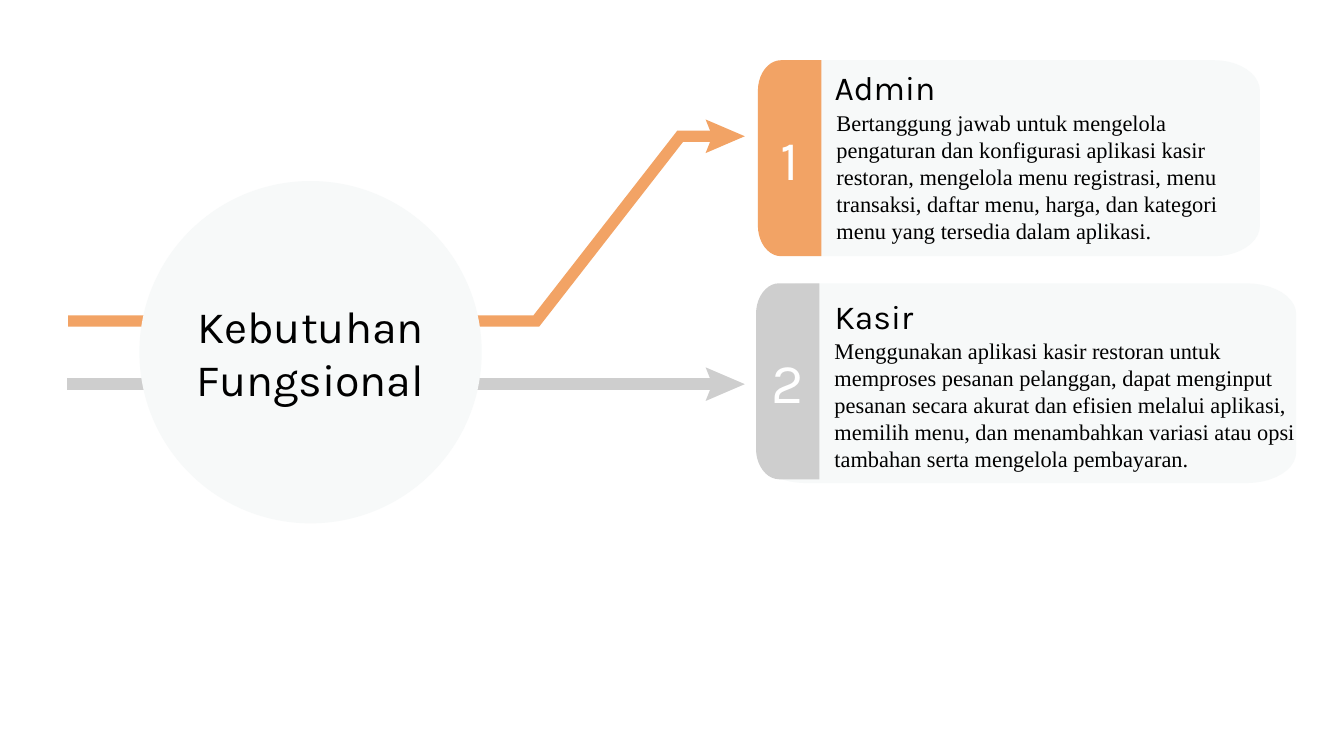
import math

import pptx
import pptx.dml.color
import pptx.enum.shapes
import pptx.enum.text
import pptx.util

Pt = pptx.util.Pt
COLORS = {"orange": "F2A365", "grey": "CECECE", "panel": "F7F9F9",
          "black": "000000", "white": "FFFFFF"}
MIDDLE = pptx.enum.text.MSO_ANCHOR.MIDDLE
CENTER = pptx.enum.text.PP_ALIGN.CENTER
LEFT = pptx.enum.text.PP_ALIGN.LEFT

deck = pptx.Presentation()
deck.slide_width, deck.slide_height = Pt(720), Pt(405)
page = deck.slides.add_slide(deck.slide_layouts[6])


def draw_outline(points, color):
    """Draw a closed, filled shape through points."""
    points = [(Pt(x), Pt(y)) for x, y in points]
    builder = page.shapes.build_freeform(*points[0], scale=1.0)
    builder.add_line_segments(points[1:], close=True)
    shape = builder.convert_to_shape()
    shape.shadow.inherit = False
    shape.fill.solid()
    shape.fill.fore_color.rgb = pptx.dml.color.RGBColor.from_string(COLORS[color])
    shape.line.fill.background()
    return shape


def write_text(shape, text, size, font, color, align, side_margin=7.2):
    """Fill a shape with middle-anchored text, one paragraph a line."""
    frame = shape.text_frame
    frame.word_wrap = True
    frame.vertical_anchor = MIDDLE
    frame.margin_left = frame.margin_right = Pt(side_margin)
    frame.margin_top = frame.margin_bottom = Pt(7.2)
    frame.text = text
    for para in frame.paragraphs:
        para.alignment = align
        for span in para.runs:
            span.font.size = Pt(size)
            span.font.name = font
            span.font.color.rgb = pptx.dml.color.RGBColor.from_string(COLORS[color])


# Straight grey track and bent orange track, each with an arrowhead
tracks = [
    ("grey", 205.8, [(36, 202.8), (36, 208.8), (384.7, 208.8), (384.7, 202.8)]),
    ("orange", 73, [(362.9, 70), (285.8, 169), (36.5, 169), (36.5, 175),
                    (288.9, 175), (366, 76), (384.7, 76), (384.7, 70)]),
]
for color, middle, points in tracks:
    draw_outline(points, color)
    draw_outline([(378, middle - 9), (381.6, middle), (378, middle + 9),
                  (399, middle)], color)

# Circle with the topic; no side margins, so each word keeps to one line
circle = page.shapes.add_shape(pptx.enum.shapes.MSO_SHAPE.OVAL,
                               Pt(74.7), Pt(97), Pt(183.4), Pt(183.4))
circle.shadow.inherit = False
circle.fill.solid()
circle.fill.fore_color.rgb = pptx.dml.color.RGBColor.from_string(COLORS["panel"])
circle.line.fill.background()
write_text(circle, "Kebutuhan\nFungsional", 24, "Karla", "black", CENTER, 0)

# Cards: number, colour, left, top, width, height, corner width,
# heading and its top, description and its box
cards = [
    ("1", "orange", 406, 32.3, 269, 105, 24.5, "Admin", 32.4,
     "Bertanggung jawab untuk mengelola pengaturan dan konfigurasi aplikasi "
     "kasir restoran, mengelola menu registrasi, menu transaksi, daftar menu, "
     "harga, dan kategori menu yang tersedia dalam aplikasi.",
     (441, 57.2, 241.2, 75)),
    ("2", "grey", 405, 151.8, 289.4, 107, 26.5, "Kasir", 155.3,
     "Menggunakan aplikasi kasir restoran untuk memproses pesanan pelanggan, "
     "dapat menginput pesanan secara akurat dan efisien melalui aplikasi, "
     "memilih menu, dan menambahkan variasi atau opsi tambahan serta "
     "mengelola pembayaran.",
     (440, 179.3, 261.4, 75)),
]
CORNER_HEIGHT = 16.5
TAB_WIDTH, TAB_HEIGHT, TAB_CORNER = 34, 105, 12.4
quarter = [math.radians(step * 9) for step in range(11)]

for (number, color, left, top, width, height, corner, heading, heading_top,
     description, description_box) in cards:
    # Panel and tab have elliptical corners; the tab is square on the right
    for w, h, left_rx, right_rx, fill in [
            (width, height, corner, corner, "panel"),
            (TAB_WIDTH, TAB_HEIGHT, TAB_CORNER, 0, color)]:
        right, bottom = left + w, top + h
        points = []
        for start, rx, x, y in [
                (0, right_rx, right - right_rx, bottom - CORNER_HEIGHT),
                (90, left_rx, left + left_rx, bottom - CORNER_HEIGHT),
                (180, left_rx, left + left_rx, top + CORNER_HEIGHT),
                (270, right_rx, right - right_rx, top + CORNER_HEIGHT)]:
            for angle in quarter:
                turn = math.radians(start) + angle
                points.append((x + rx * math.cos(turn),
                               y + CORNER_HEIGHT * math.sin(turn)))
        tab = draw_outline(points, fill)
    write_text(tab, number, 30, "Karla", "white", CENTER)

    # Heading and description
    box = page.shapes.add_textbox(Pt(440), Pt(heading_top), Pt(98), Pt(28))
    write_text(box, heading, 18, "Karla", "black", LEFT)
    box = page.shapes.add_textbox(*[Pt(length) for length in description_box])
    write_text(box, description, 12, "Times New Roman", "black", LEFT)

deck.save("out.pptx")
